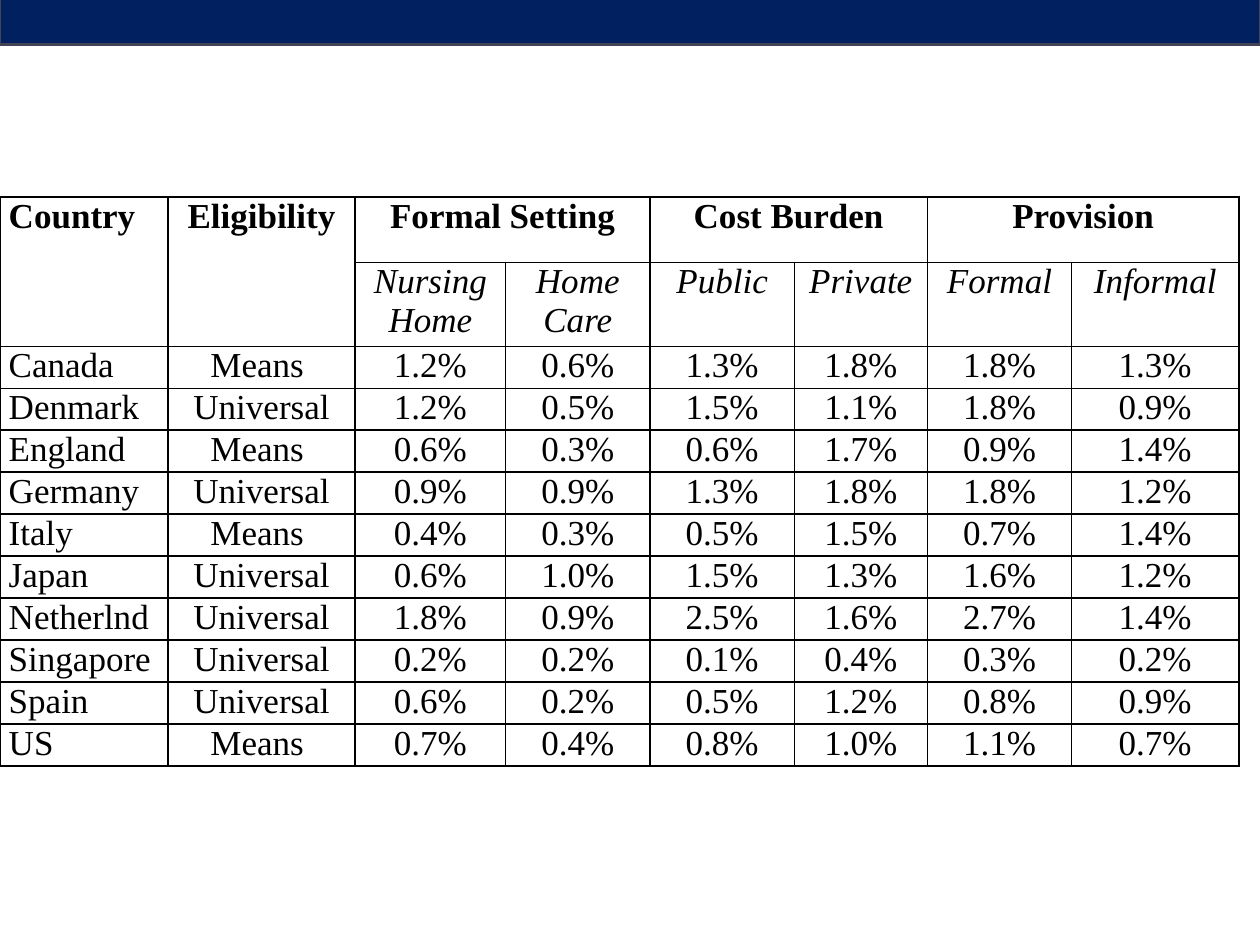
from pptx import Presentation
from pptx.dml.color import RGBColor
from pptx.enum.shapes import MSO_SHAPE
from pptx.enum.text import PP_ALIGN
from pptx.oxml import parse_xml
from pptx.oxml.ns import nsdecls
from pptx.util import Pt

NAVY = RGBColor(0x00, 0x20, 0x60)
SLATE = RGBColor(0x42, 0x44, 0x56)
BLACK = RGBColor(0x00, 0x00, 0x00)
FONT = "Times New Roman"

COLUMN_WIDTHS = [96, 107, 86, 82.5, 82.5, 76, 82.5, 95.5]
GROUP_ROW, SUBHEAD_ROW, COUNTRY_ROW = 37.4, 48, 24
GROUPS = ["Country", "Eligibility", "Formal Setting", "",
          "Cost Burden", "", "Provision", ""]
SUBHEADS = ["", "", "Nursing Home", "Home Care", "Public", "Private",
            "Formal", "Informal"]
MEANS, UNIVERSAL = "Means ", "Universal"
COUNTRIES = [
    ("Canada", MEANS, 1.2, 0.6, 1.3, 1.8, 1.8, 1.3),
    ("Denmark", UNIVERSAL, 1.2, 0.5, 1.5, 1.1, 1.8, 0.9),
    ("England", MEANS, 0.6, 0.3, 0.6, 1.7, 0.9, 1.4),
    ("Germany", UNIVERSAL, 0.9, 0.9, 1.3, 1.8, 1.8, 1.2),
    ("Italy", MEANS, 0.4, 0.3, 0.5, 1.5, 0.7, 1.4),
    ("Japan", UNIVERSAL, 0.6, 1.0, 1.5, 1.3, 1.6, 1.2),
    ("Netherlnd", UNIVERSAL, 1.8, 0.9, 2.5, 1.6, 2.7, 1.4),
    ("Singapore", UNIVERSAL, 0.2, 0.2, 0.1, 0.4, 0.3, 0.2),
    ("Spain", UNIVERSAL, 0.6, 0.2, 0.5, 1.2, 0.8, 0.9),
    ("US", MEANS, 0.7, 0.4, 0.8, 1.0, 1.1, 0.7),
]


def add_top_band(slide, left, top, width, height):
    band = slide.shapes.add_shape(MSO_SHAPE.RECTANGLE, left, top, width, height)
    band.shadow.inherit = False
    band.fill.solid()
    band.fill.fore_color.rgb = NAVY
    band.line.color.rgb = SLATE
    band.line.width = Pt(1.5)


def add_borders(cell):
    properties = cell._tc.get_or_add_tcPr()
    for side in ("lnL", "lnR", "lnT", "lnB"):
        properties.append(parse_xml(
            f'<a:{side} {nsdecls("a")} w="{Pt(1)}"><a:solidFill>'
            f'<a:srgbClr val="{BLACK}"/></a:solidFill></a:{side}>'))


def format_cell(cell, text, bold, italic, align):
    cell.margin_left = cell.margin_right = Pt(5)
    cell.margin_top = cell.margin_bottom = Pt(0)
    add_borders(cell)
    cell.fill.background()
    cell.text_frame.text = text
    paragraph = cell.text_frame.paragraphs[0]
    paragraph.alignment = align
    font = paragraph.font
    font.name, font.size = FONT, Pt(20)
    font.bold, font.italic = bold, italic
    for run in paragraph.runs:
        run.font.name, run.font.size = FONT, Pt(20)
        run.font.bold, run.font.italic = bold, italic
        run.font.color.rgb = BLACK


def add_care_table(slide, left, top):
    """Long-term care by country, under a two-row header."""
    rows = [GROUPS, SUBHEADS]
    for country, eligibility, *shares in COUNTRIES:
        rows.append([country, eligibility] + [f"{share:.1f}%" for share in shares])
    heights = [GROUP_ROW, SUBHEAD_ROW] + [COUNTRY_ROW] * len(COUNTRIES)
    table = slide.shapes.add_table(
        len(rows), len(COLUMN_WIDTHS), left, top,
        Pt(sum(COLUMN_WIDTHS)), Pt(sum(heights))).table
    table.first_row = table.horz_banding = False
    for column, width in zip(table.columns, COLUMN_WIDTHS):
        column.width = Pt(width)
    for row, height in zip(table.rows, heights):
        row.height = Pt(height)
    for r, texts in enumerate(rows):
        for c, text in enumerate(texts):
            align = PP_ALIGN.LEFT if c == 0 else PP_ALIGN.CENTER
            format_cell(table.cell(r, c), text, r == 0, r == 1, align)
    for c in (0, 1):
        table.cell(0, c).merge(table.cell(1, c))
    for c in (2, 4, 6):
        table.cell(0, c).merge(table.cell(0, c + 1))


def main():
    prs = Presentation()
    prs.slide_width, prs.slide_height = Pt(720), Pt(540)
    slide = prs.slides.add_slide(prs.slide_layouts[6])
    add_top_band(slide, Pt(0), Pt(-4.5), prs.slide_width, Pt(30))
    add_care_table(slide, Pt(0), Pt(112.5))
    prs.save("out.pptx")


if __name__ == "__main__":
    main()
